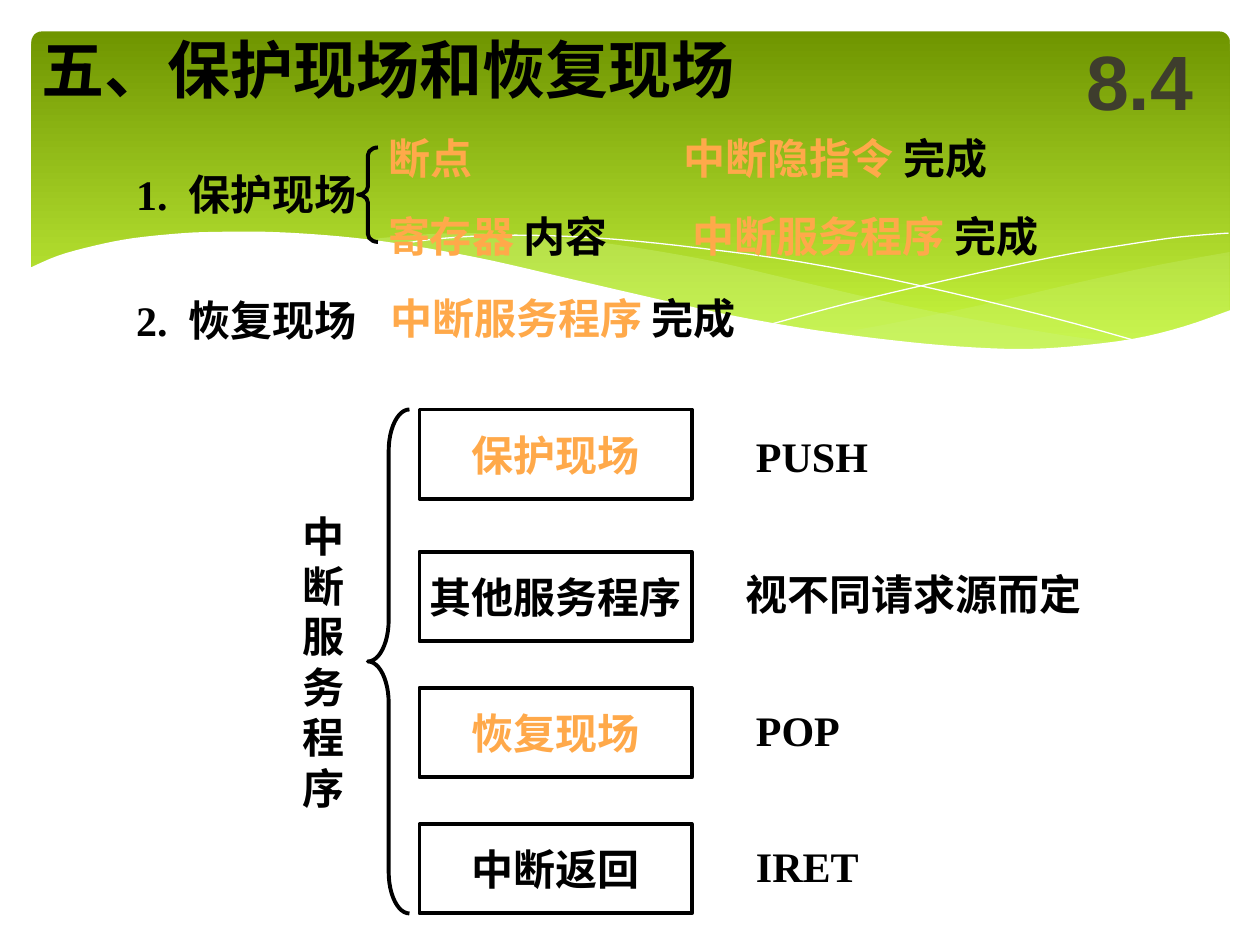
from lxml.etree import SubElement
from pptx import Presentation
from pptx.dml.color import RGBColor
from pptx.enum.shapes import MSO_SHAPE
from pptx.enum.text import MSO_ANCHOR, PP_ALIGN
from pptx.oxml.ns import qn
from pptx.util import Inches, Pt

BLACK, ORANGE, WHITE, PALE = "000000", "FFA94A", "FFFFFF", "CAF278"
SERIF = "Times New Roman"
DONE = ("完成", BLACK)

SWELL_RIGHT = [(9.76, 2), (9.21, 2.1), (8.61, 2.23), (7.79, 2.42), (7.06, 2.57), (6.61, 2.65)]
SWELL_RIGHT_BASE = [(6.61, 2.65), (7.05, 2.71), (7.57, 2.76), (8.03, 2.78), (8.54, 2.76),
                    (8.97, 2.7), (9.35, 2.62), (9.76, 2.47)]
SWELL_MID = [(8.93, 2.73), (8.37, 2.65), (7.75, 2.54), (7.06, 2.4), (6.29, 2.22), (5.69, 2.08),
             (5.14, 1.98), (4.64, 1.91), (4.2, 1.87), (3.61, 1.85), (3.13, 1.88), (2.86, 1.91)]
SWELL_MID_BASE = [(2.86, 1.91), (3.42, 1.99), (4.04, 2.11), (4.91, 2.32), (5.66, 2.48),
                  (6.34, 2.61), (6.95, 2.7), (7.48, 2.76), (8.07, 2.79), (8.57, 2.77), (8.93, 2.73)]
FALLING_LINE = [(3.09, 1.95), (3.43, 1.9), (3.87, 1.87), (4.33, 1.87), (4.89, 1.9), (5.56, 1.97),
                (6.36, 2.08), (7.27, 2.26), (8.31, 2.51), (9.07, 2.72)]
RISING_LINE = [(6.13, 2.57), (6.72, 2.41), (7.48, 2.23), (8.36, 2.04), (8.95, 1.94), (9.37, 1.88), (9.75, 1.85)]
WAVE = [(9.77, 2.46), (9.4, 2.59), (8.99, 2.69), (8.5, 2.75), (8.09, 2.77), (7.61, 2.75),
        (7.08, 2.7), (6.47, 2.62), (5.79, 2.5), (5.03, 2.33), (4.47, 2.2), (3.91, 2.07),
        (3.39, 1.97), (2.92, 1.9), (2.5, 1.86), (2.11, 1.84), (1.76, 1.84), (1.46, 1.85),
        (1.06, 1.89), (0.75, 1.95), (0.46, 2.03), (0.23, 2.13)]


def rgb(color):
    return RGBColor.from_string(color)


def smooth(points, steps=4):
    ends = [points[0], *points, points[-1]]
    curve = []
    for a, b, c, d in zip(ends, ends[1:], ends[2:], ends[3:]):
        for t in (i / steps for i in range(steps)):
            curve.append(tuple(
                0.5 * (2 * q + (r - p) * t + (2 * p - 5 * q + 4 * r - s) * t ** 2
                       + (3 * q - p - 3 * r + s) * t ** 3)
                for p, q, r, s in zip(a, b, c, d)))
    return curve + [points[-1]]


def add_outline(slide, points, fill=None, alpha=100, line=None):
    emu = [(Inches(x), Inches(y)) for x, y in points]
    builder = slide.shapes.build_freeform(*emu[0])
    builder.add_line_segments(emu[1:], close=fill is not None)
    sp = builder.convert_to_shape()
    sp.shadow.inherit = False
    if fill:
        sp.fill.solid()
        sp.fill.fore_color.rgb = rgb(fill)
        if alpha < 100:
            color = sp.fill._xPr.find(qn("a:solidFill"))[0]
            SubElement(color, qn("a:alpha")).set("val", str(alpha * 1000))
    else:
        sp.fill.background()
    if line:
        sp.line.color.rgb = rgb(line)
        sp.line.width = Pt(0)
    else:
        sp.line.fill.background()


def add_banner(slide):
    sp = slide.shapes.add_shape(MSO_SHAPE.ROUNDED_RECTANGLE, Inches(0.25), Inches(0.25),
                                Inches(9.51), Inches(2.7))
    sp.adjustments[0] = 0.03
    sp.shadow.inherit = False
    sp.line.fill.background()
    sp.fill.gradient()
    sp.fill.gradient_angle = 270
    for stop, color in zip(sp.fill.gradient_stops, ("6F9500", "D0FF44")):
        stop.color.rgb = rgb(color)
    add_outline(slide, smooth(SWELL_RIGHT) + smooth(SWELL_RIGHT_BASE), PALE, 29)
    add_outline(slide, smooth(SWELL_MID) + smooth(SWELL_MID_BASE), PALE, 40)
    for curve in (FALLING_LINE, RISING_LINE):
        add_outline(slide, smooth(curve), line=WHITE)
    add_outline(slide, smooth(WAVE) + [(0.23, 3.29), (9.77, 3.29)], WHITE)


def write(sp, paragraphs, size=24, font=SERIF, align=PP_ALIGN.LEFT,
          anchor=MSO_ANCHOR.MIDDLE, inset=0, wrap=False):
    tf = sp.text_frame
    tf.word_wrap = wrap
    tf.vertical_anchor = anchor
    tf.margin_left = tf.margin_right = Inches(inset)
    tf.margin_top = tf.margin_bottom = Inches(0.05)
    for i, runs in enumerate(paragraphs):
        p = tf.add_paragraph() if i else tf.paragraphs[0]
        p.alignment = align
        for text, color in runs:
            r = p.add_run()
            r.text = text
            r.font.size = Pt(size)
            r.font.name = font
            r.font.bold = True
            r.font.color.rgb = rgb(color)


def add_text(slide, x, y, w, h, *paragraphs, **style):
    sp = slide.shapes.add_textbox(Inches(x), Inches(y), Inches(w), Inches(h))
    write(sp, paragraphs, **style)
    return sp


def add_heading(slide, y, number, text):
    sp = add_text(slide, 1.08, y, 2, 0.58, [(number, BLACK), (" ", BLACK), (text, BLACK)])
    space = sp.text_frame.paragraphs[0].runs[1]
    space.font._element.set("spc", "600")


def add_outlined(slide, kind, x, y, w, h):
    sp = slide.shapes.add_shape(kind, Inches(x), Inches(y), Inches(w), Inches(h))
    sp.shadow.inherit = False
    sp.fill.background()
    sp.line.color.rgb = rgb(BLACK)
    sp.line.width = Pt(2.25)
    return sp


def add_brace(slide, x, y, w, h, curl):
    sp = add_outlined(slide, MSO_SHAPE.LEFT_BRACE, x, y, w, h)
    sp.adjustments[0] = curl


def add_step(slide, y, text, color, note, note_x, note_y):
    sp = add_outlined(slide, MSO_SHAPE.RECTANGLE, 3.33, y, 2.16, 0.71)
    write(sp, [[(text, color)]], align=PP_ALIGN.CENTER)
    add_text(slide, note_x, note_y, 2.83, 0.58, [(note, BLACK)])


def main():
    prs = Presentation()
    prs.slide_width, prs.slide_height = Inches(10), Inches(7.5)
    slide = prs.slides.add_slide(prs.slide_layouts[6])
    add_banner(slide)

    add_text(slide, 0.33, 0.25, 6.92, 0.58, [("五、保护现场和恢复现场", BLACK)], size=36)
    add_text(slide, 8.42, 0.17, 1.25, 0.92, [("8.4", "3E3D2D")], size=44, font="Arial",
             align=PP_ALIGN.CENTER, inset=0.1, wrap=True)

    top_box = {"anchor": MSO_ANCHOR.TOP, "inset": 0.1}
    add_heading(slide, 1.25, "1.", "保护现场")
    add_brace(slide, 2.84, 1.17, 0.16, 0.75, 0.39)
    add_text(slide, 3.08, 1, 1.08, 0.5, [("断点", ORANGE)])
    add_text(slide, 5.33, 1, 3.58, 0.5, [("中断隐指令 ", ORANGE), DONE], wrap=True, **top_box)
    add_text(slide, 3.08, 1.58, 2.17, 0.58, [("寄存器 ", ORANGE), ("内容", BLACK)])
    add_text(slide, 5.5, 1.58, 4.17, 0.58, [("中断服务程序 ", ORANGE), DONE])
    add_heading(slide, 2.25, "2.", "恢复现场")
    add_text(slide, 3, 2.27, 3.33, 0.5, [("中断服务程序 ", ORANGE), DONE], wrap=True, **top_box)

    add_text(slide, 2.3, 4, 0.53, 2.5, *([(char, BLACK)] for char in "中断服务程序"), **top_box)
    add_brace(slide, 2.92, 3.25, 0.33, 4, 1)
    for step in [
        (3.25, "保护现场", ORANGE, "PUSH", 6, 3.33),
        (4.38, "其他服务程序", BLACK, "视不同请求源而定", 5.92, 4.42),
        (5.46, "恢复现场", ORANGE, "POP", 6, 5.5),
        (6.54, "中断返回", BLACK, "IRET", 6, 6.58),
    ]:
        add_step(slide, *step)
    prs.save("out.pptx")


if __name__ == "__main__":
    main()
